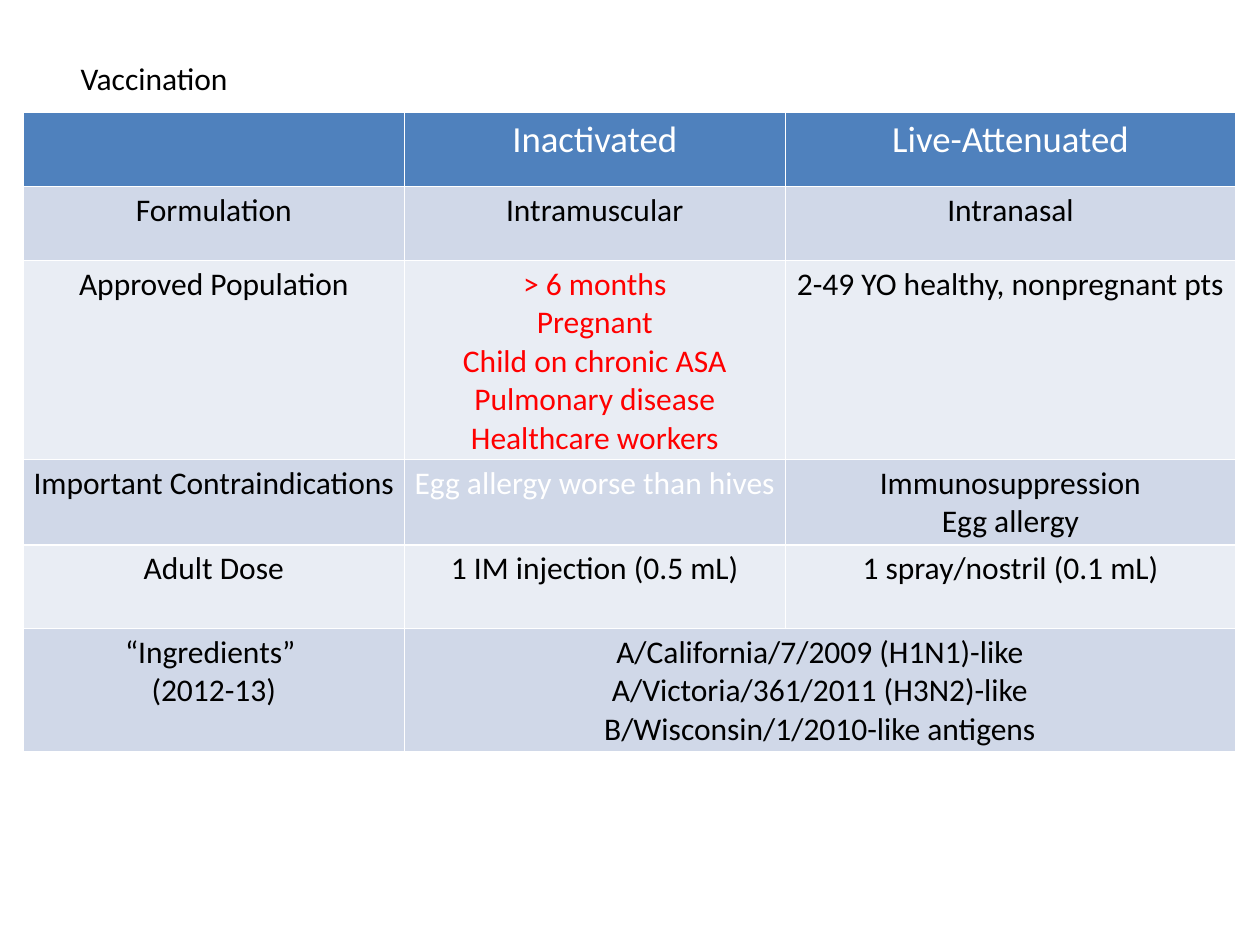
from pptx import Presentation
from pptx.dml.color import RGBColor
from pptx.enum.text import MSO_ANCHOR, MSO_AUTO_SIZE, PP_ALIGN
from pptx.util import Cm, Pt

COLORS = {
    "header": "4F81BD",
    "dark_band": "D0D8E8",
    "light_band": "E9EDF4",
    "black": "000000",
    "white": "FFFFFF",
    "red": "FF0000",
}
COLUMN_WIDTHS = [7.68, 7.68, 9.08]
ROW_HEIGHTS = [1.49, 1.49, 3.99, 1.69, 1.68, 2.45]
ROWS = [
    ["", "Inactivated", "Live-Attenuated"],
    ["Formulation", "Intramuscular", "Intranasal"],
    [
        "Approved Population",
        "> 6 months\nPregnant\nChild on chronic ASA\nPulmonary disease\nHealthcare workers",
        "2-49 YO healthy, nonpregnant pts",
    ],
    [
        "Important Contraindications",
        "Egg allergy worse than hives",
        "Immunosuppression\nEgg allergy",
    ],
    ["Adult Dose", "1 IM injection (0.5 mL)", "1 spray/nostril (0.1 mL)"],
    [
        "“Ingredients” \n(2012-13)",
        "A/California/7/2009 (H1N1)-like\nA/Victoria/361/2011 (H3N2)-like\n"
        "B/Wisconsin/1/2010-like antigens",
    ],
]
HIGHLIGHTS = {(2, 1): "red", (3, 1): "white"}


def write_text(text_frame, text, size=18, color="black", align=PP_ALIGN.CENTER):
    """Fill a text frame with one formatted paragraph per line."""
    text_frame.text = text
    for paragraph in text_frame.paragraphs:
        paragraph.alignment = align
        paragraph.font.name = "Calibri"
        paragraph.font.size = Pt(size)
        paragraph.font.bold = False
        paragraph.font.color.rgb = RGBColor.from_string(COLORS[color])


def add_title(slide, text):
    """Place the slide title in its placeholder."""
    title = slide.shapes.title
    title.left, title.top, title.width, title.height = Cm(1.37), Cm(1.07), Cm(3.56), Cm(1.02)
    write_text(title.text_frame, text, align=PP_ALIGN.LEFT)
    title.text_frame.word_wrap = False
    title.text_frame.auto_size = MSO_AUTO_SIZE.SHAPE_TO_FIT_TEXT
    title.text_frame.vertical_anchor = MSO_ANCHOR.TOP


def fill_cell(cell, text, fill, **text_format):
    """Set the fill, margins and text of a table cell."""
    cell.fill.solid()
    cell.fill.fore_color.rgb = RGBColor.from_string(COLORS[fill])
    cell.margin_left = cell.margin_right = Cm(0.18)
    cell.margin_top = cell.margin_bottom = Cm(0.1)
    write_text(cell.text_frame, text, **text_format)


def add_vaccine_table(slide):
    """Add the table that compares the two vaccine types."""
    table = slide.shapes.add_table(
        len(ROWS), len(COLUMN_WIDTHS), Cm(0.47), Cm(2.27),
        Cm(sum(COLUMN_WIDTHS)), Cm(sum(ROW_HEIGHTS)),
    ).table
    for column, width in zip(table.columns, COLUMN_WIDTHS):
        column.width = Cm(width)
    for row, height in zip(table.rows, ROW_HEIGHTS):
        row.height = Cm(height)
    table.cell(5, 1).merge(table.cell(5, 2))
    for row_index, texts in enumerate(ROWS):
        is_header = row_index == 0
        band = "dark_band" if row_index % 2 else "light_band"
        for column_index, text in enumerate(texts):
            color = "white" if is_header else HIGHLIGHTS.get((row_index, column_index), "black")
            fill_cell(
                table.cell(row_index, column_index), text,
                "header" if is_header else band,
                size=21 if is_header else 18, color=color,
            )


def main():
    """Build and save the vaccination slide."""
    presentation = Presentation()
    presentation.slide_width, presentation.slide_height = Cm(25.4), Cm(19.05)
    slide = presentation.slides.add_slide(presentation.slide_layouts[5])
    add_title(slide, "Vaccination")
    add_vaccine_table(slide)
    presentation.save("out.pptx")


if __name__ == "__main__":
    main()
